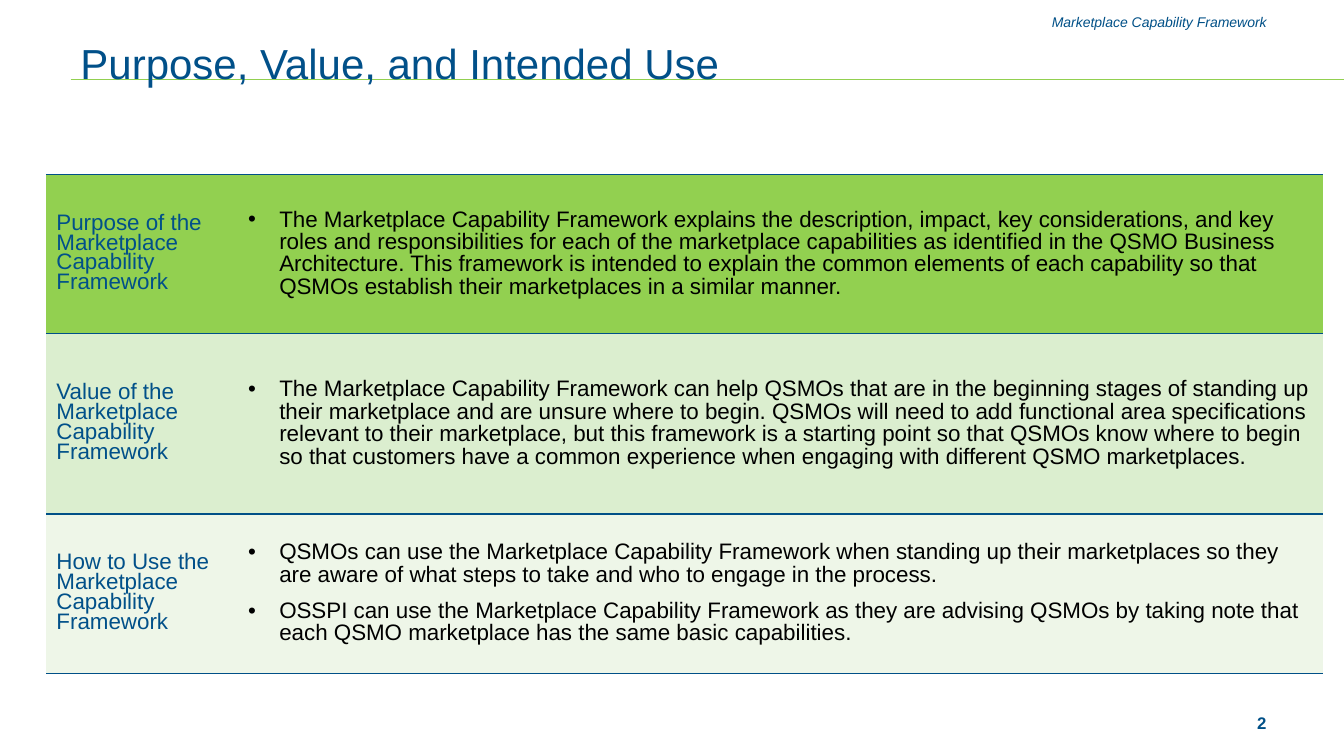
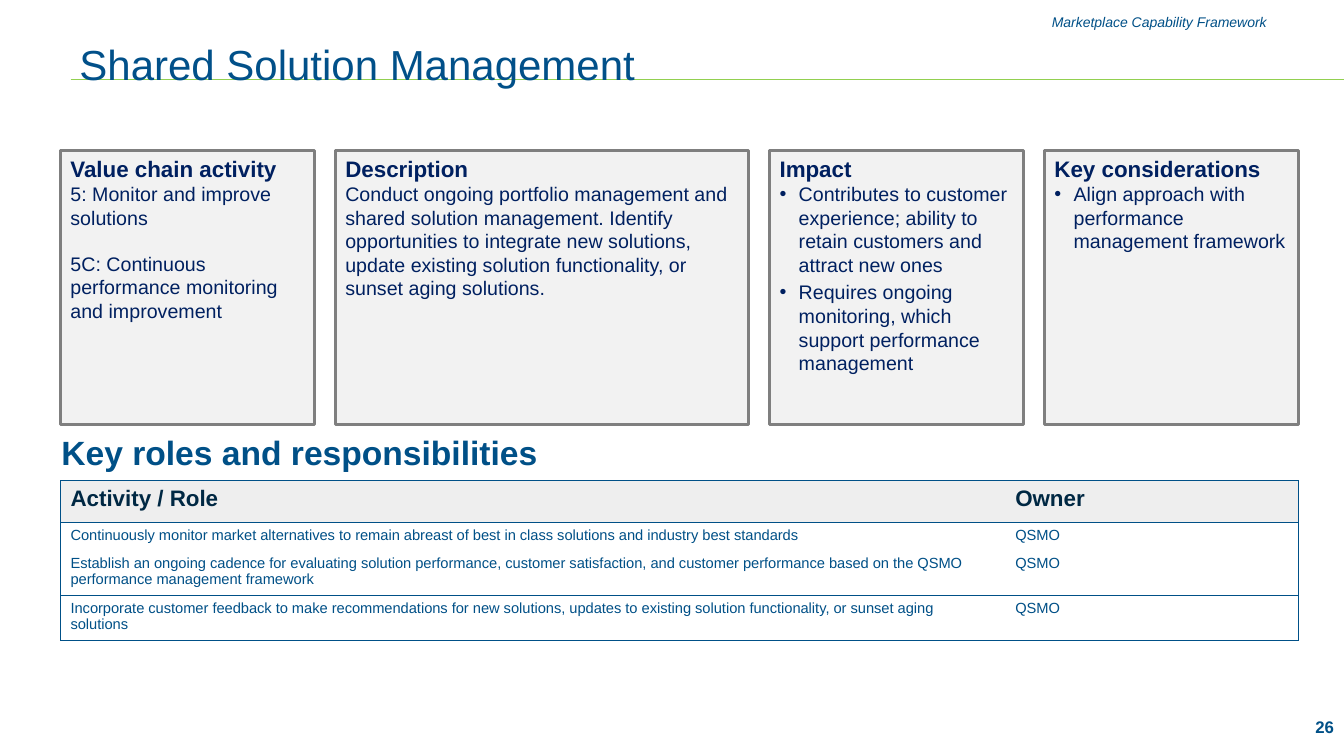
from dataclasses import dataclass
from itertools import accumulate
from typing import Optional

from lxml.etree import SubElement
from pptx import Presentation
from pptx.dml.color import RGBColor
from pptx.enum.shapes import MSO_CONNECTOR, MSO_SHAPE
from pptx.enum.text import MSO_ANCHOR, PP_ALIGN
from pptx.oxml.ns import qn
from pptx.util import Pt

PX = 9144


@dataclass(frozen=True)
class Style:
    size: float
    color: str
    bold: bool = False
    italic: bool = False
    align: PP_ALIGN = PP_ALIGN.LEFT
    spacing: Optional[float] = None
    before: float = 0
    indent: int = 0


@dataclass(frozen=True)
class Theme:
    font: str = "Arial"
    blue: str = "005087"
    green: str = "92D050"
    card_fill: str = "F2F2F2"
    card_line: str = "7F7F7F"
    header_fill: str = "EEEEEE"
    purpose_fills: tuple = ("92D050", "DBEECF", "EEF6E8")
    title: Style = Style(30, "015089")
    tag: Style = Style(10, "005087", italic=True, align=PP_ALIGN.RIGHT)
    number: Style = Style(12, "005087", bold=True, align=PP_ALIGN.RIGHT)
    topic: Style = Style(16, "015089", spacing=0.8)
    point: Style = Style(16, "000000", spacing=0.9, before=10, indent=31)
    card_head: Style = Style(16, "002060", bold=True)
    card_text: Style = Style(14, "002060", before=16)
    card_point: Style = Style(14, "002060", before=3, indent=19)
    section: Style = Style(24, "005087", bold=True)
    role_head: Style = Style(16, "002843", bold=True)
    role: Style = Style(10.5, "005087")


THEME = Theme()
TAG = "Marketplace Capability Framework"

PURPOSE = [
    ("Purpose of the Marketplace Capability Framework", [
        "The Marketplace Capability Framework explains the description, impact, key considerations, "
        "and key roles and responsibilities for each of the marketplace capabilities as identified in "
        "the QSMO Business Architecture. This framework is intended to explain the common elements of "
        "each capability so that QSMOs establish their marketplaces in a similar manner."]),
    ("Value of the Marketplace Capability Framework", [
        "The Marketplace Capability Framework can help QSMOs that are in the beginning stages of "
        "standing up their marketplace and are unsure where to begin. QSMOs will need to add functional "
        "area specifications relevant to their marketplace, but this framework is a starting point so "
        "that QSMOs know where to begin so that customers have a common experience when engaging with "
        "different QSMO marketplaces."]),
    ("How to Use the Marketplace Capability Framework", [
        "QSMOs can use the Marketplace Capability Framework when standing up their marketplaces so they "
        "are aware of what steps to take and who to engage in the process.",
        "OSSPI can use the Marketplace Capability Framework as they are advising QSMOs by taking note "
        "that each QSMO marketplace has the same basic capabilities."]),
]
PURPOSE_AT, PURPOSE_COLUMNS, PURPOSE_ROWS = (46, 173), (190, 1076), (158, 179, 158)

CARDS = [
    ("Value chain activity", 252, THEME.card_text, [
        "5: Monitor and improve solutions",
        "5C: Continuous performance monitoring and improvement"]),
    ("Description", 410, THEME.card_text, [
        "Conduct ongoing portfolio management and shared solution management. Identify opportunities "
        "to integrate new solutions, update existing solution functionality, or sunset aging solutions."]),
    ("Impact", 252, THEME.card_point, [
        "Contributes to customer experience; ability to retain customers and attract new ones",
        "Requires ongoing monitoring, which support performance management"]),
    ("Key considerations", 252, THEME.card_point, [
        "Align approach with performance management framework"]),
]
CARD_LEFT, CARD_TOP, CARD_HEIGHT, CARD_SPAN = 60, 149, 272, 1228

ROLES = [
    ("Activity / Role", "Owner"),
    ("Continuously monitor market alternatives to remain abreast of best in class solutions and "
     "industry best standards", "QSMO"),
    ("Establish an ongoing cadence for evaluating solution performance, customer satisfaction, and "
     "customer performance based on the QSMO performance management framework", "QSMO"),
    ("Incorporate customer feedback to make recommendations for new solutions, updates to existing "
     "solution functionality, or sunset aging solutions", "QSMO"),
]
ROLES_AT, ROLES_COLUMNS, ROLES_ROWS = (60, 477), (937, 291), (41, 26, 42, 42)
ROLES_RULED = ("TB", "T", "B", "TB")


def px(*lengths):
    return [round(length * PX) for length in lengths]


def rgb(color):
    return RGBColor.from_string(color)


def add_bullet(para, style):
    properties = para._p.get_or_add_pPr()
    indent = px(style.indent)[0]
    properties.set("marL", str(indent))
    properties.set("indent", str(-indent))
    tint = SubElement(properties, qn("a:buClr"))
    SubElement(tint, qn("a:srgbClr"), val=style.color)
    SubElement(properties, qn("a:buFont"), typeface=THEME.font)
    SubElement(properties, qn("a:buChar"), char="•")


def write(frame, lines):
    frame.word_wrap = True
    previous = None
    for index, (text, style) in enumerate(lines):
        para = frame.add_paragraph() if index else frame.paragraphs[0]
        para.alignment = style.align
        if style.spacing:
            para.line_spacing = style.spacing
        para.space_before = Pt(style.before if style == previous else 0)
        if style.indent:
            add_bullet(para, style)
        span = para.add_run()
        span.text = text
        span.font.name = THEME.font
        span.font.size = Pt(style.size)
        span.font.bold = style.bold
        span.font.italic = style.italic
        span.font.color.rgb = rgb(style.color)
        previous = style


def add_text(page, bounds, text, style, anchor=MSO_ANCHOR.MIDDLE, inset=5):
    frame = page.shapes.add_textbox(*px(*bounds)).text_frame
    frame.vertical_anchor = anchor
    frame.margin_top = frame.margin_bottom = px(inset)[0]
    write(frame, [(text, style)])


def add_page(deck, title, title_at, number, number_at):
    page = deck.slides.add_slide(deck.slide_layouts[6])
    rule = page.shapes.add_connector(MSO_CONNECTOR.STRAIGHT, *px(70, 79, 1333, 79))
    rule.line.color.rgb = rgb(THEME.green)
    rule.line.width = Pt(0.75)
    SubElement(rule._element.spPr, qn("a:effectLst"))
    add_text(page, (883, 8, 383, 28), TAG, THEME.tag)
    add_text(page, (*title_at, 1196, 94), title, THEME.title)
    add_text(page, (*number_at, 80, 57), number, THEME.number, MSO_ANCHOR.BOTTOM, 10)
    return page


def add_grid(page, corner, columns, rows):
    frame = page.shapes.add_table(len(rows), len(columns), *px(*corner, sum(columns), sum(rows)))
    table = frame.table
    table.first_row = table.horz_banding = False
    for column, width in zip(table.columns, px(*columns)):
        column.width = width
    for row, height in zip(table.rows, px(*rows)):
        row.height = height
    return table


def fill_cell(cell, lines, fill, sides, weight, anchor):
    properties = cell._tc.get_or_add_tcPr()
    for side in "LRTB":
        edge = SubElement(properties, qn(f"a:ln{side}"), w=str(Pt(weight)))
        if side in sides:
            paint = SubElement(edge, qn("a:solidFill"))
            SubElement(paint, qn("a:srgbClr"), val=THEME.blue)
        else:
            SubElement(edge, qn("a:noFill"))
    if fill:
        cell.fill.solid()
        cell.fill.fore_color.rgb = rgb(fill)
    else:
        cell.fill.background()
    cell.vertical_anchor = anchor
    write(cell.text_frame, lines)


def add_card(page, left, width, heading, style, texts):
    box = page.shapes.add_shape(MSO_SHAPE.RECTANGLE, *px(left, CARD_TOP, width, CARD_HEIGHT))
    box.shadow.inherit = False
    box.fill.solid()
    box.fill.fore_color.rgb = rgb(THEME.card_fill)
    box.line.color.rgb = rgb(THEME.card_line)
    box.line.width = Pt(2)
    box.text_frame.vertical_anchor = MSO_ANCHOR.TOP
    write(box.text_frame, [(heading, THEME.card_head)] + [(text, style) for text in texts])


def build_purpose(deck):
    page = add_page(deck, "Purpose, Value, and Intended Use", (70, 15), "2", (1186, 680))
    table = add_grid(page, PURPOSE_AT, PURPOSE_COLUMNS, PURPOSE_ROWS)
    for row, ((topic, points), fill) in enumerate(zip(PURPOSE, THEME.purpose_fills)):
        contents = [(topic, THEME.topic)], [(point, THEME.point) for point in points]
        for column, lines in enumerate(contents):
            fill_cell(table.cell(row, column), lines, fill, "TB", 1, MSO_ANCHOR.MIDDLE)


def build_management(deck):
    page = add_page(deck, "Shared Solution Management", (69, 16), "26", (1253, 684))
    widths = [width for _, width, _, _ in CARDS]
    gap = (CARD_SPAN - sum(widths)) / (len(CARDS) - 1)
    lefts = accumulate((width + gap for width in widths), initial=CARD_LEFT)
    for left, (heading, width, style, texts) in zip(lefts, CARDS):
        add_card(page, left, width, heading, style, texts)
    add_text(page, (51, 424, 494, 50), "Key roles and responsibilities", THEME.section, MSO_ANCHOR.TOP)
    table = add_grid(page, ROLES_AT, ROLES_COLUMNS, ROLES_ROWS)
    for row, (texts, ruled) in enumerate(zip(ROLES, ROLES_RULED)):
        style = THEME.role if row else THEME.role_head
        fill = None if row else THEME.header_fill
        for column, (text, outer) in enumerate(zip(texts, "LR")):
            fill_cell(table.cell(row, column), [(text, style)], fill, ruled + outer, 0.75, MSO_ANCHOR.TOP)


def main():
    deck = Presentation()
    deck.slide_width, deck.slide_height = px(1333, 750)
    build_purpose(deck)
    build_management(deck)
    deck.save("out.pptx")


if __name__ == "__main__":
    main()
